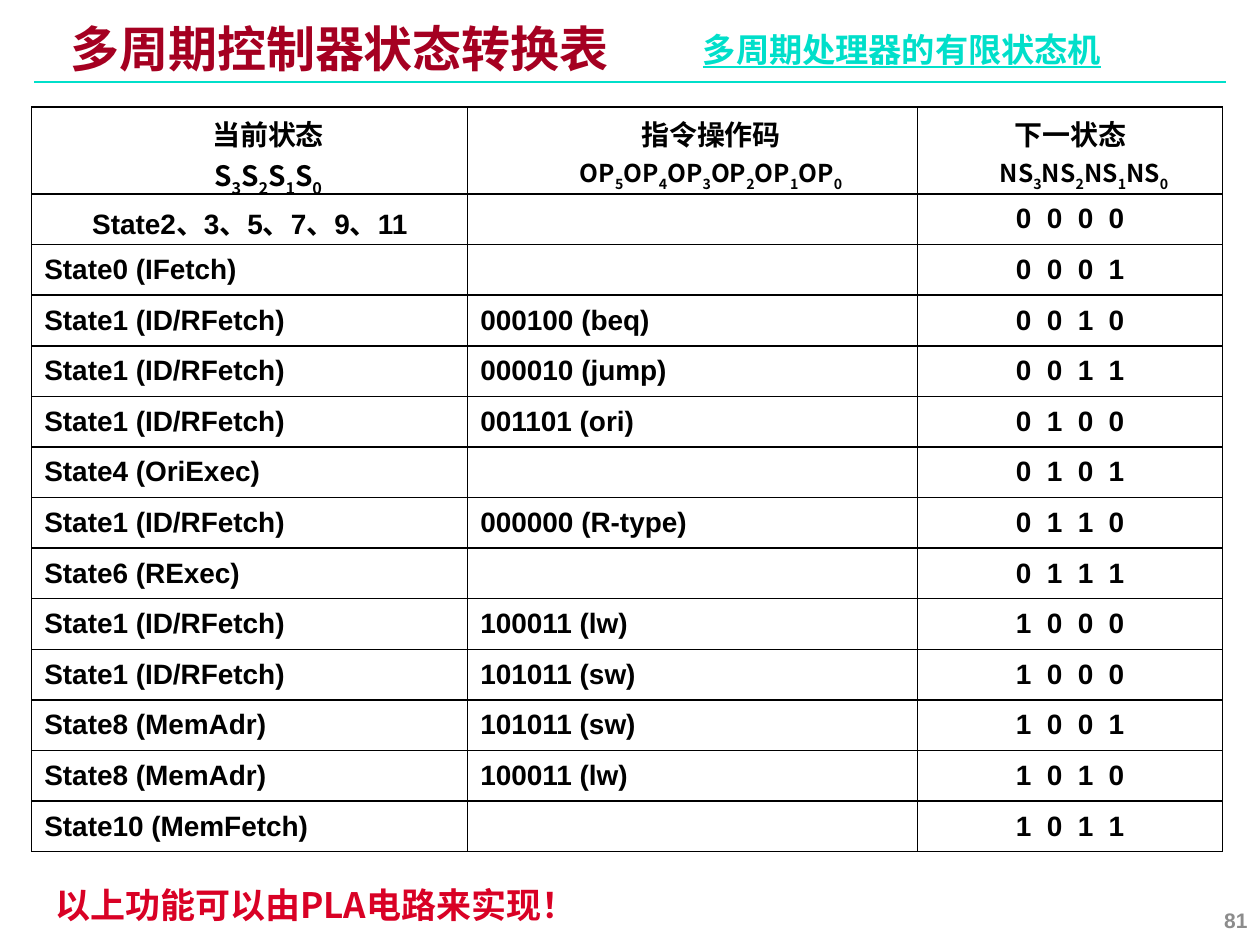
from lxml import etree
from pptx import Presentation
from pptx.dml.color import RGBColor
from pptx.enum.shapes import MSO_CONNECTOR
from pptx.enum.text import MSO_ANCHOR, PP_ALIGN
from pptx.oxml.ns import qn
from pptx.util import Cm, Pt

LEFT, CENTER, RIGHT = PP_ALIGN.LEFT, PP_ALIGN.CENTER, PP_ALIGN.RIGHT
TOP, MIDDLE = MSO_ANCHOR.TOP, MSO_ANCHOR.MIDDLE
STRAIGHT = MSO_CONNECTOR.STRAIGHT

LATIN, CJK = "Arial", "Noto Sans CJK SC"
BLACK, TEAL, DARK_RED, RED, GRAY = "000000", "00DFCA", "A50021", "D90125", "8C8C8C"

HEADERS = [("当前状态", "S", 4, 16), ("指令操作码", "OP", 6, 14), ("下一状态", "NS", 4, 14)]
TRANSITIONS = [
    ("State2、3、5、7、9、11", "", "0000"),
    ("State0 (IFetch)", "", "0001"),
    ("State1 (ID/RFetch)", "000100 (beq)", "0010"),
    ("State1 (ID/RFetch)", "000010 (jump)", "0011"),
    ("State1 (ID/RFetch)", "001101 (ori)", "0100"),
    ("State4 (OriExec)", "", "0101"),
    ("State1 (ID/RFetch)", "000000 (R-type)", "0110"),
    ("State6 (RExec)", "", "0111"),
    ("State1 (ID/RFetch)", "100011 (lw)", "1000"),
    ("State1 (ID/RFetch)", "101011 (sw)", "1000"),
    ("State8 (MemAdr)", "101011 (sw)", "1001"),
    ("State8 (MemAdr)", "100011 (lw)", "1010"),
    ("State10 (MemFetch)", "", "1011"),
]
COLUMN_WIDTHS = [8.79, 9.07, 6.15]
HEADER_HEIGHT, ROW_HEIGHT = 1.75, 1.02
HANGING = 0.56


def rgb(value):
    return RGBColor.from_string(value)


class SlideBuilder:
    def __init__(self, slide):
        self.slide = slide

    def style(self, paragraph, size, color=BLACK, font=LATIN, align=LEFT, underline=None):
        paragraph.alignment = align
        face = paragraph.font
        face.size, face.bold, face.name = Pt(size), True, font
        face.underline = underline
        face.color.rgb = rgb(color)
        defaults = paragraph._p.pPr.find(qn("a:defRPr"))
        etree.SubElement(defaults, qn("a:ea"), typeface=CJK)

    def indent(self, paragraph, left, first):
        properties = paragraph._p.get_or_add_pPr()
        properties.set("marL", str(Cm(left)))
        properties.set("indent", str(Cm(first)))

    def text(self, x, y, width, height, words, size, color, anchor=TOP, spacing=None, **look):
        box = self.slide.shapes.add_textbox(Cm(x), Cm(y), Cm(width), Cm(height))
        frame = box.text_frame
        frame.word_wrap = True
        frame.vertical_anchor = anchor
        paragraph = frame.paragraphs[0]
        paragraph.text = words
        paragraph.line_spacing = spacing
        self.style(paragraph, size, color, **look)
        return frame

    def rule(self, x1, x2, y, color, width):
        line = self.slide.shapes.add_connector(STRAIGHT, Cm(x1), Cm(y), Cm(x2), Cm(y))
        line.line.color.rgb = rgb(color)
        line.line.width = Pt(width)
        etree.SubElement(line._element.spPr, qn("a:effectLst"))

    def table(self, x, y, widths, heights):
        frame = self.slide.shapes.add_table(len(heights), len(widths), Cm(x), Cm(y),
                                            Cm(sum(widths)), Cm(sum(heights)))
        table = frame.table
        table.first_row = table.horz_banding = False
        for column, width in zip(table.columns, widths):
            column.width = Cm(width)
        for row, height in zip(table.rows, heights):
            row.height = Cm(height)
        for cell in table.iter_cells():
            cell.fill.background()
            self.border(cell)
        return table

    def border(self, cell):
        properties = cell._tc.get_or_add_tcPr()
        for index, side in enumerate(("lnL", "lnR", "lnT", "lnB")):
            line = etree.Element(qn(f"a:{side}"), w=str(Pt(1)))
            fill = etree.SubElement(line, qn("a:solidFill"))
            etree.SubElement(fill, qn("a:srgbClr"), val=BLACK)
            properties.insert(index, line)

    def header(self, cell, title, signal, bits, size, first):
        """Fill a heading cell with a title and its signal names, highest bit first."""
        cell.margin_bottom = 0
        frame = cell.text_frame
        frame.text = title
        names = frame.add_paragraph()
        for bit in reversed(range(bits)):
            names.add_run().text = signal
            subscript = names.add_run()
            subscript.text = str(bit)
            subscript._r.get_or_add_rPr().set("baseline", "-30000")
        for paragraph, points in zip(frame.paragraphs, (16, size)):
            self.indent(paragraph, HANGING, first)
            self.style(paragraph, points, font=CJK, align=CENTER)
        if first < 0:
            self.indent(names, HANGING, 0)

    def entry(self, cell, words, align, tracking=0):
        cell.vertical_anchor = MIDDLE
        if not words or not words.isascii():
            cell.margin_bottom = 0
        paragraph = cell.text_frame.paragraphs[0]
        paragraph.text = words
        self.indent(paragraph, HANGING, -HANGING)
        self.style(paragraph, 16, align=align)
        if tracking:
            paragraph.runs[0]._r.get_or_add_rPr().set("spc", str(tracking))


def main():
    deck = Presentation()
    deck.slide_width, deck.slide_height = Cm(25.4), Cm(19.05)
    page = SlideBuilder(deck.slides.add_slide(deck.slide_layouts[6]))

    page.rule(0.69, 24.71, 1.65, TEAL, 1.5)
    title = page.text(1.24, 0.46, 20.83, 1.17, "多周期控制器状态转换表", 28, DARK_RED,
                      anchor=MIDDLE, spacing=0.87)
    title.margin_left = title.margin_right = Cm(0.18)
    title.margin_top = title.margin_bottom = Cm(0.08)
    page.text(0.86, 17.68, 12.32, 1.09, "以上功能可以由PLA电路来实现！", 20, RED, font=CJK)

    heights = [HEADER_HEIGHT] + [ROW_HEIGHT] * len(TRANSITIONS)
    table = page.table(0.64, 2.16, COLUMN_WIDTHS, heights)
    for column, heading in enumerate(HEADERS):
        page.header(table.cell(0, column), *heading, first=-HANGING if column == 2 else 0.18)
    for row, (state, opcode, following) in enumerate(TRANSITIONS, start=1):
        page.entry(table.cell(row, 0), state, CENTER if row == 1 else LEFT)
        page.entry(table.cell(row, 1), opcode, LEFT)
        page.entry(table.cell(row, 2), " ".join(following), CENTER, tracking=222)

    page.text(13.92, 0.46, 9.27, 1.07, "多周期处理器的有限状态机", 19, TEAL,
              font=CJK, underline=True)
    page.text(19.69, 18.03, 5.71, 1.02, "81", 12, GRAY, anchor=MIDDLE, align=RIGHT)

    deck.save("out.pptx")


if __name__ == "__main__":
    main()
